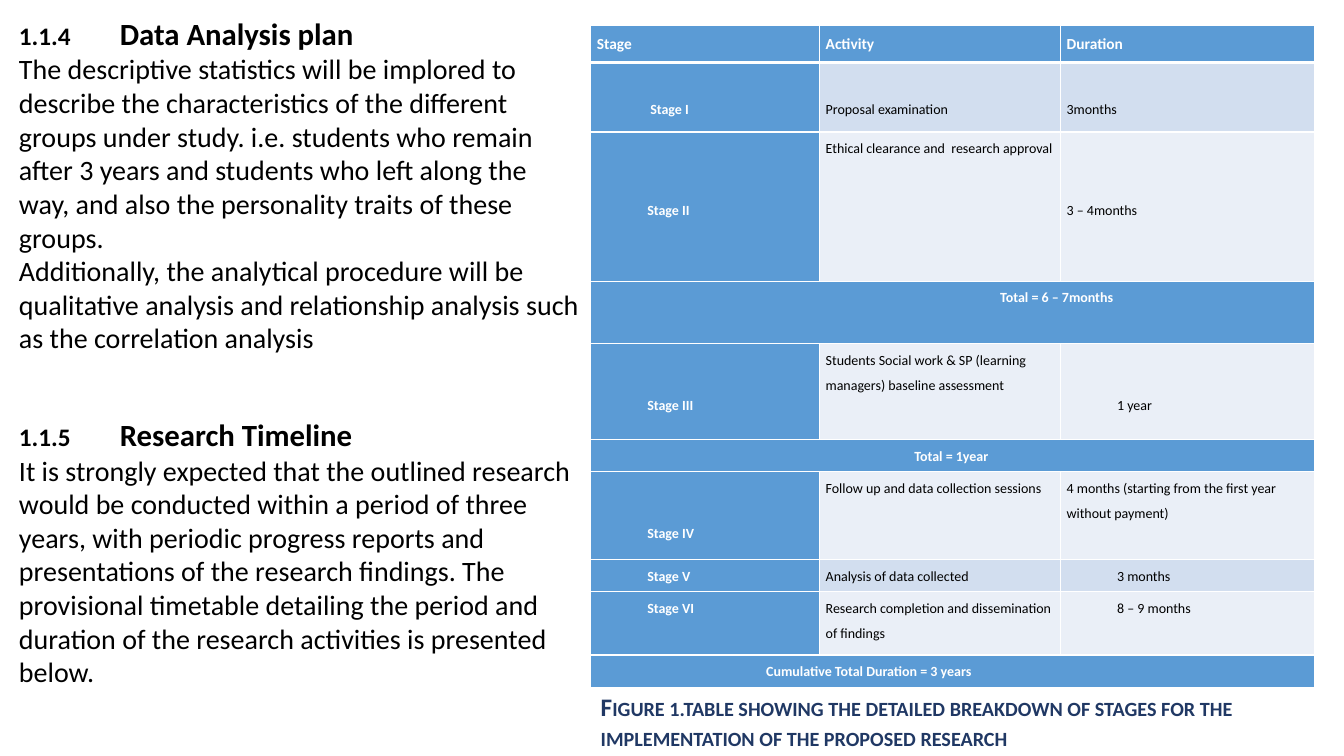
from lxml.etree import SubElement
from pptx import Presentation
from pptx.dml.color import RGBColor
from pptx.enum.text import MSO_AUTO_SIZE
from pptx.oxml.ns import qn
from pptx.util import Inches, Pt

FONT = "Calibri"
BLACK, WHITE, NAVY = "000000", "FFFFFF", "203864"
BLUE, BAND_DARK, BAND_LIGHT = "5B9BD5", "D2DEEF", "EAEFF7"
INSET = 0.06

SECTIONS = [
    ("1.1.4", "Data Analysis plan", [
        "The descriptive statistics will be implored to describe the characteristics of the "
        "different groups under study. i.e. students who remain after 3 years and students who "
        "left along the way, and also the personality traits of these groups.",
        "Additionally, the analytical procedure will be qualitative analysis and relationship "
        "analysis such as the correlation analysis",
    ]),
    ("1.1.5", "Research Timeline", [
        "It is strongly expected that the outlined research would be conducted within a period "
        "of three years, with periodic progress reports and presentations of the research "
        "findings. The provisional timetable detailing the period and duration of the research "
        "activities is presented below.",
    ]),
]

COLUMN_WIDTHS = [2.27, 2.39, 2.52]

TIMELINE = [
    (0.37, BLUE, [("Stage", 0, 0), ("Activity", 0, 0), ("Duration", 0, 0)]),
    (0.69, BAND_DARK, [("Stage I", 0.53, 0.3), ("Proposal examination", 0, 0.3),
                       ("3months", 0, 0.3)]),
    (1.48, BAND_LIGHT, [("Stage II", 0.5, 0.61),
                        ("Ethical clearance and  research approval", 0, 0),
                        ("3 – 4months", 0, 0.61)]),
    (0.62, BLUE, [("Total = 6 – 7months", 4, 0)]),
    (0.95, BAND_LIGHT, [("Stage III", 0.5, 0.45),
                        ("Students Social work & SP (learning managers) baseline assessment", 0, 0),
                        ("1 year", 0.5, 0.45)]),
    (0.32, BLUE, [("Total = 1year", 3.15, 0)]),
    (0.87, BAND_LIGHT, [("Stage IV", 0.5, 0.45),
                        ("Follow up and data collection sessions", 0, 0),
                        ("4 months (starting from the first year without payment)", 0, 0)]),
    (0.32, BAND_DARK, [("Stage V", 0.5, 0), ("Analysis of data collected", 0, 0),
                       ("3 months", 0.5, 0)]),
    (0.63, BAND_LIGHT, [("Stage VI", 0.5, 0),
                        ("Research completion and dissemination of findings", 0, 0),
                        ("8 – 9 months", 0.5, 0)]),
    (0.32, BLUE, [("Cumulative Total Duration = 3 years", 1.68, 0)]),
]


def rgb(value):
    return RGBColor.from_string(value)


def add_run(paragraph, text, size, color, bold=False):
    run = paragraph.add_run()
    run.text = text
    run.font.name = FONT
    run.font.size = Pt(size)
    run.font.bold = bold
    run.font.color.rgb = rgb(color)
    return run


def add_frame(slide, left, top, width, height):
    frame = slide.shapes.add_textbox(
        Inches(left), Inches(top), Inches(width), Inches(height)).text_frame
    frame.word_wrap = True
    frame.auto_size = MSO_AUTO_SIZE.SHAPE_TO_FIT_TEXT
    return frame


def add_sections(slide, left, top, width, height):
    frame = add_frame(slide, left, top, width, height)
    for index, (number, title, body) in enumerate(SECTIONS):
        heading = frame.add_paragraph() if index else frame.paragraphs[0]
        if index:
            heading.space_before = Pt(44)
        add_run(heading, number + "\t", 18, BLACK, True)
        add_run(heading, title, 22, BLACK, True)
        for sentence in body:
            add_run(frame.add_paragraph(), sentence, 20, BLACK)


def style_cell(cell, fill, top_line, bottom_line):
    properties = cell._tc.get_or_add_tcPr()
    for side, points in (("L", 1), ("R", 1), ("T", top_line), ("B", bottom_line)):
        border = SubElement(properties, qn(f"a:ln{side}"), w=str(Pt(points)))
        SubElement(SubElement(border, qn("a:solidFill")), qn("a:srgbClr"), val=WHITE)
    cell.fill.solid()
    cell.fill.fore_color.rgb = rgb(fill)


def write_cell(cell, text, size, color, bold, indent, drop):
    cell.margin_left = cell.margin_right = Inches(INSET)
    cell.margin_top = Inches(drop)
    cell.margin_bottom = 0
    paragraph = cell.text_frame.paragraphs[0]
    paragraph.line_spacing = 1.5
    if indent:
        indented = paragraph._p.get_or_add_pPr()
        indented.set("marL", str(Inches(indent)))
        indented.set("indent", "0")
    add_run(paragraph, text, size, color, bold)


def add_timeline(slide, left, top, width, height):
    table = slide.shapes.add_table(
        len(TIMELINE), len(COLUMN_WIDTHS),
        Inches(left), Inches(top), Inches(width), Inches(height)).table
    table.horz_banding = False
    for column, column_width in zip(table.columns, COLUMN_WIDTHS):
        column.width = Inches(column_width)
    for index, (row_height, band, entries) in enumerate(TIMELINE):
        row = table.rows[index]
        row.height = Inches(row_height)
        for position, cell in enumerate(row.cells):
            style_cell(cell, band if position else BLUE,
                       3 if index == 1 else 1, 3 if index == 0 else 1)
        if len(entries) == 1:
            table.cell(index, 0).merge(table.cell(index, len(COLUMN_WIDTHS) - 1))
        for position, (text, indent, drop) in enumerate(entries):
            emphasised = position == 0 or index == 0
            write_cell(table.cell(index, position), text, 10 if index else 11,
                       WHITE if emphasised else BLACK, emphasised, indent, drop)


def add_caption(slide, left, top, width, height):
    frame = add_frame(slide, left, top, width, height)
    caption = add_run(
        frame.paragraphs[0],
        "Figure 1.table showing the detailed breakdown of stages for the implementation "
        "of the proposed research", 18, NAVY, True)
    caption.font._element.set("cap", "small")


def main():
    presentation = Presentation()
    presentation.slide_width = Inches(13.33)
    presentation.slide_height = Inches(7.5)
    slide = presentation.slides.add_slide(presentation.slide_layouts[6])
    add_timeline(slide, 5.86, 0.25, 7.18, 6.57)
    add_sections(slide, 0.09, 0.1, 5.76, 7.17)
    add_caption(slide, 5.86, 6.81, 7.28, 0.71)
    presentation.save("out.pptx")


if __name__ == "__main__":
    main()
